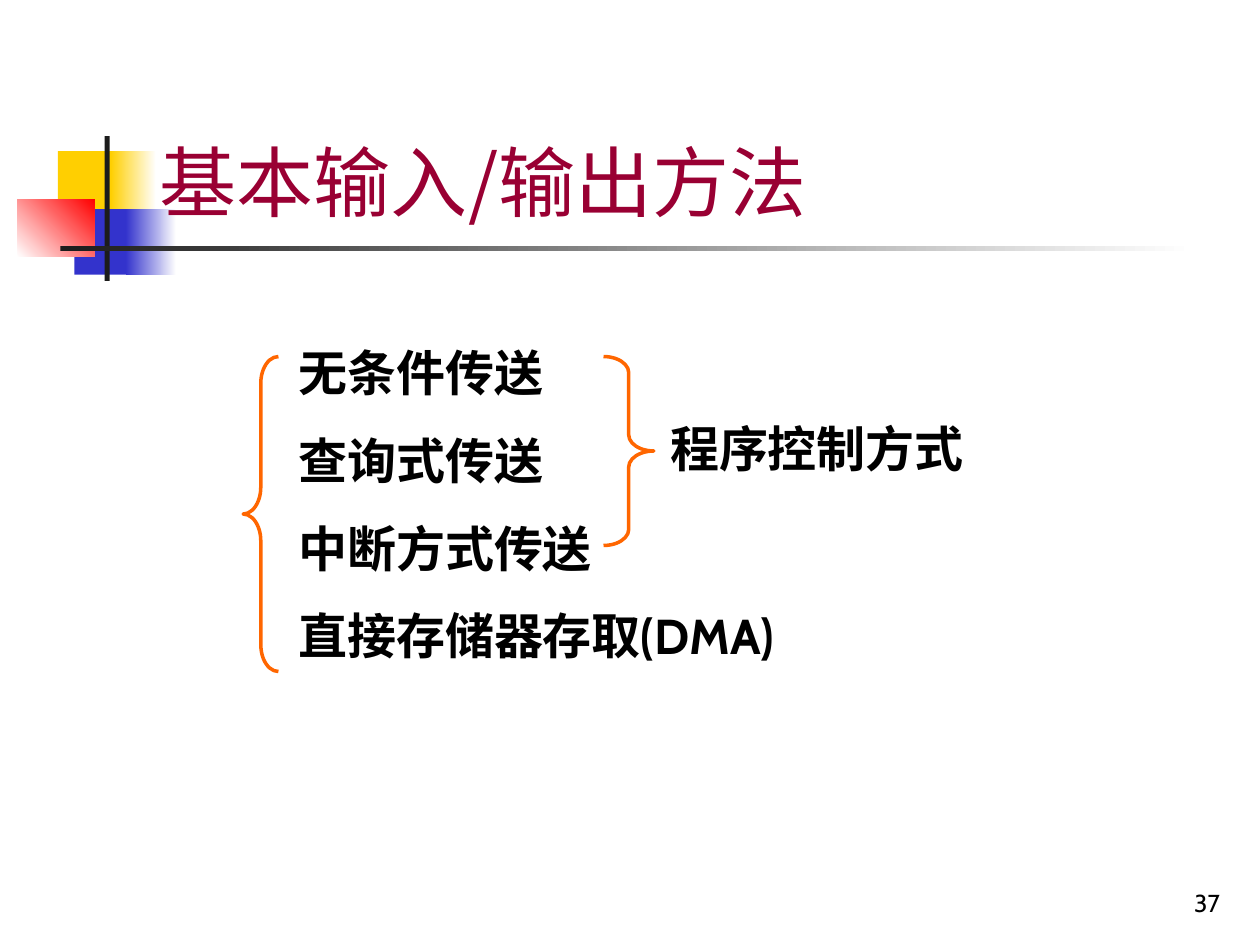
from dataclasses import dataclass

import pptx
import pptx.dml.color
import pptx.enum.shapes
import pptx.enum.text
import pptx.util
from lxml import etree
from pptx.util import Inches

SHAPE = pptx.enum.shapes.MSO_SHAPE
ANCHOR = pptx.enum.text.MSO_ANCHOR
ALIGN = pptx.enum.text.PP_ALIGN


@dataclass(frozen=True)
class Theme:
    yellow: str = "FFCF01"
    blue: str = "3333CC"
    red: str = "FF0000"
    white: str = "FFFFFF"
    rule: str = "1C1C1C"
    title: str = "990033"
    text: str = "000000"
    brace: str = "FF6600"
    latin: str = "Cabin"
    serif: str = "Times New Roman"
    chinese: str = "Noto Sans CJK SC"
    title_size: int = 44
    body_size: int = 28
    number_size: int = 14


THEME = Theme()


def rgb(value):
    return pptx.dml.color.RGBColor.from_string(value)


def add_block(slide, box, start, end=None, angle=0):
    """Borderless rectangle, solid or fading from start to end."""
    block = slide.shapes.add_shape(SHAPE.RECTANGLE, *map(Inches, box))
    block.shadow.inherit = False
    block.line.fill.background()
    if end is None:
        block.fill.solid()
        block.fill.fore_color.rgb = rgb(start)
        return
    block.fill.gradient()
    block.fill.gradient_angle = angle
    for stop, color in zip(block.fill.gradient_stops, (start, end)):
        stop.color.rgb = rgb(color)


def add_text(slide, box, lines, size, color, font, bold=False,
             anchor=ANCHOR.TOP, align=ALIGN.LEFT, gap=0):
    frame = slide.shapes.add_textbox(*map(Inches, box)).text_frame
    frame.word_wrap = True
    frame.vertical_anchor = anchor
    frame.text = "\n".join(lines)
    for paragraph in frame.paragraphs:
        paragraph.alignment = align
        paragraph.space_after = pptx.util.Pt(gap)
        for run in paragraph.runs:
            run.font.size = pptx.util.Pt(size)
            run.font.bold = bold
            run.font.color.rgb = rgb(color)
            run.font.name = font
            latin = run.font._element.find(pptx.oxml.ns.qn("a:latin"))
            east_asian = etree.Element(pptx.oxml.ns.qn("a:ea"),
                                       typeface=THEME.chinese)
            latin.addnext(east_asian)
    return frame


def add_brace(slide, kind, box, curve):
    brace = slide.shapes.add_shape(kind, *map(Inches, box))
    brace.shadow.inherit = False
    brace.fill.background()
    brace.line.color.rgb = rgb(THEME.brace)
    brace.line.width = pptx.util.Pt(2)
    brace.adjustments[0] = curve


def add_ornament(slide, left, top):
    """Coloured blocks with the crossing rules."""
    blocks = [
        (0.32, 0.12, 0.48, 0.52, THEME.yellow),
        (0.74, 0.12, 0.36, 0.52, THEME.yellow, THEME.white),
        (0.45, 0.58, 0.46, 0.52, THEME.blue),
        (0.86, 0.58, 0.40, 0.52, THEME.blue, THEME.white),
        (0, 0.50, 0.61, 0.46, THEME.white, THEME.red, 45),
        (0.69, 0, 0.04, 1.15, THEME.rule),
        (0.34, 0.87, 9, 0.04, THEME.rule, THEME.white),
    ]
    for x, y, width, height, *colors in blocks:
        add_block(slide, (left + x, top + y, width, height), *colors)


def add_title(slide, box):
    add_text(slide, box, ["基本输入/输出方法"], THEME.title_size,
             THEME.title, THEME.chinese, anchor=ANCHOR.BOTTOM)


def add_methods(slide, left, top):
    """Transfer methods, with a brace around all and one around three."""
    methods = ["无条件传送", "查询式传送", "中断方式传送", "直接存储器存取(DMA)"]
    method_list = add_text(slide, (left + 0.34, top - 0.26, 6, 3.85), methods,
                           THEME.body_size, THEME.text, THEME.latin,
                           bold=True, gap=16.5)
    method_list.margin_top = Inches(0.15)
    add_brace(slide, SHAPE.LEFT_BRACE, (left, top, 0.28, 2.5), 0.76)
    add_text(slide, (left + 3.29, top + 0.44, 2.91, 0.57), ["程序控制方式"],
             THEME.body_size, THEME.text, THEME.serif, bold=True,
             anchor=ANCHOR.MIDDLE)
    add_brace(slide, SHAPE.RIGHT_BRACE, (left + 2.86, top, 0.4, 1.5), 0.32)


def add_page_number(slide, box):
    add_text(slide, box, ["37"], THEME.number_size, THEME.text, THEME.latin,
             anchor=ANCHOR.BOTTOM, align=ALIGN.RIGHT)


def main():
    deck = pptx.Presentation()
    deck.slide_width, deck.slide_height = Inches(10), Inches(7.5)
    slide = deck.slides.add_slide(deck.slide_layouts[6])
    add_ornament(slide, 0.14, 1.08)
    add_title(slide, (1.17, 0.6, 8.08, 1.25))
    add_methods(slide, 1.93, 2.83)
    add_page_number(slide, (7.7, 6.83, 2.08, 0.5))
    deck.save("out.pptx")


if __name__ == "__main__":
    main()
